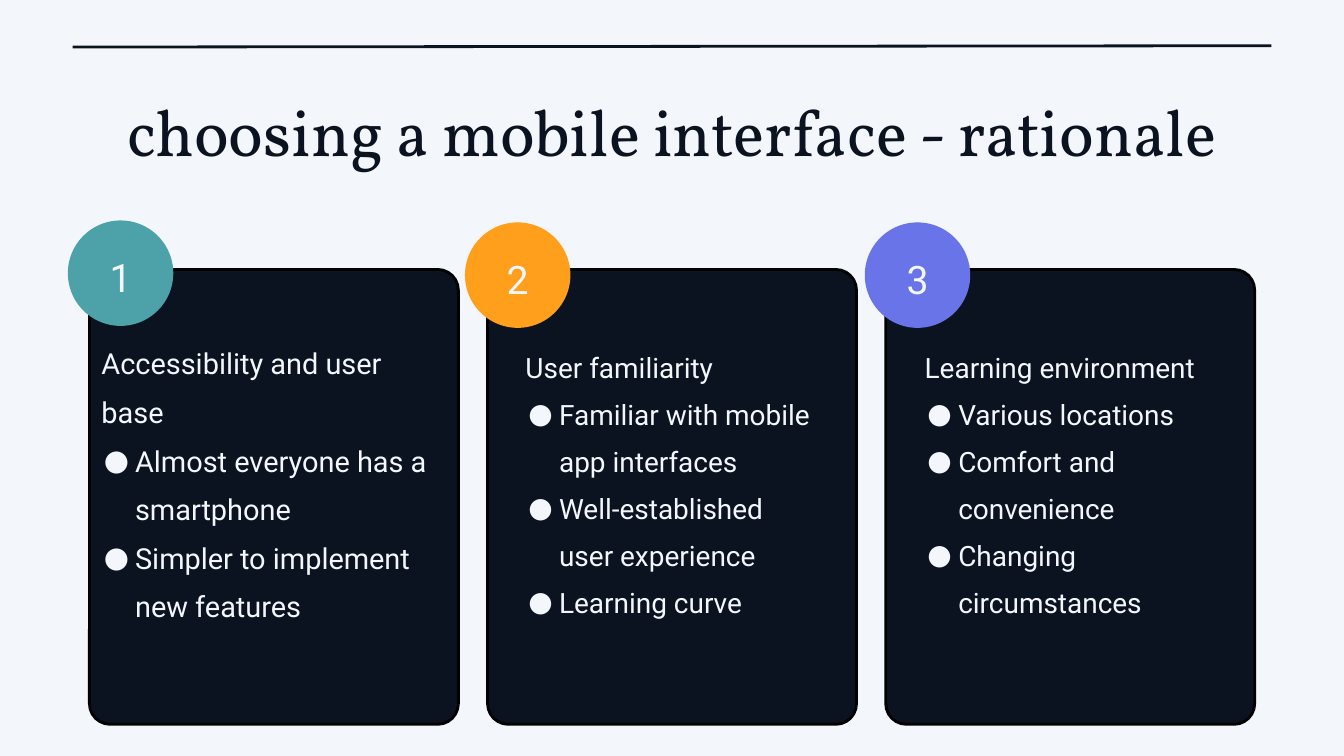
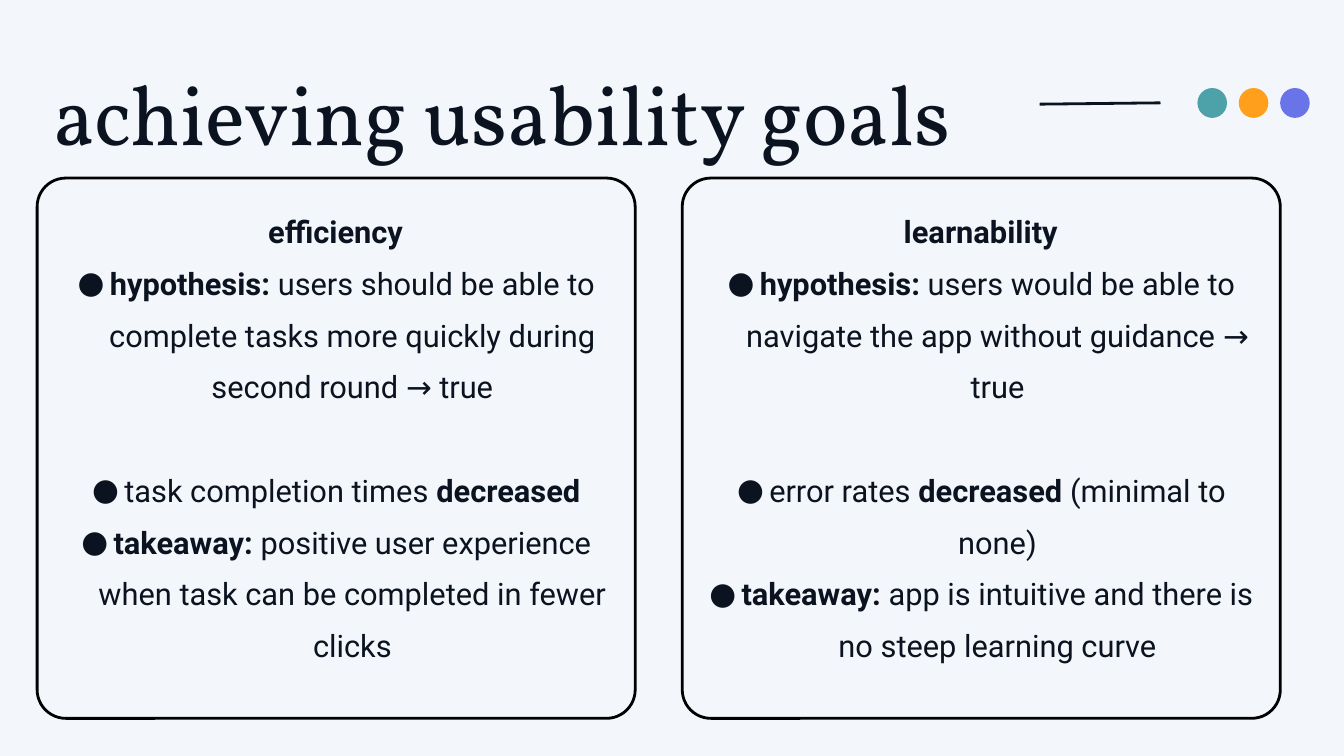
from lxml import etree
from pptx import Presentation
from pptx.dml.color import RGBColor
from pptx.enum.shapes import MSO_CONNECTOR, MSO_SHAPE
from pptx.enum.text import MSO_ANCHOR, PP_ALIGN
from pptx.oxml.ns import qn
from pptx.util import Pt

LEFT, CENTER = PP_ALIGN.LEFT, PP_ALIGN.CENTER
TOP, MIDDLE = MSO_ANCHOR.TOP, MSO_ANCHOR.MIDDLE
OVAL, ROUNDED = MSO_SHAPE.OVAL, MSO_SHAPE.ROUNDED_RECTANGLE
STRAIGHT = MSO_CONNECTOR.STRAIGHT

COLORS = {
    "paper": "F3F6FA",
    "ink": "0B1320",
    "outline": "000000",
    "teal": "4DA1A9",
    "orange": "FF9F1C",
    "violet": "6874E8",
}
ACCENTS = ("teal", "orange", "violet")
TITLE_FONT, BODY_FONT = "Vollkorn", "Roboto"
BULLET_MARGIN = 36
LINE_WIDTH = 3


def color(name):
    return RGBColor.from_string(COLORS[name])


def add_text(slide, box, paragraphs, size, font=BODY_FONT, ink="ink", align=LEFT,
             anchor=TOP, spacing=1.4, inset=0, gaps=None):
    """Each paragraph is a list of (text, bold) runs; all but the first are bulleted."""
    frame = slide.shapes.add_textbox(*map(Pt, box)).text_frame
    frame.word_wrap = True
    frame.vertical_anchor = anchor
    frame.margin_left = frame.margin_right = Pt(inset)
    frame.margin_top = frame.margin_bottom = Pt(inset)
    for index, runs in enumerate(paragraphs):
        paragraph = frame.paragraphs[0] if index == 0 else frame.add_paragraph()
        if index > 0:
            properties = paragraph._p.get_or_add_pPr()
            properties.set("marL", str(Pt(BULLET_MARGIN)))
            properties.set("indent", str(-Pt(BULLET_MARGIN / 2 + size / 2)))
            bullet_color = etree.SubElement(properties, qn("a:buClr"))
            etree.SubElement(bullet_color, qn("a:srgbClr"), val=COLORS[ink])
            etree.SubElement(properties, qn("a:buFont"), typeface=font)
            etree.SubElement(properties, qn("a:buChar"), char="●")
        paragraph.alignment = align
        paragraph.line_spacing = spacing
        if gaps and index in gaps:
            paragraph.space_before = Pt(gaps[index])
        for text, bold in runs:
            run = paragraph.add_run()
            run.text = text
            run.font.name = font
            run.font.size = Pt(size)
            run.font.bold = bold
            run.font.color.rgb = color(ink)


presentation = Presentation()
presentation.slide_width, presentation.slide_height = Pt(1440), Pt(810)

# Slide contents
RATIONALE = [
    # text box, text size, circle left and top, heading and bullets
    ((108.7, 355.7, 370, 300), 31, (72.7, 236.2),
     ["Accessibility and user base", "Almost everyone has a smartphone",
      "Simpler to implement new features"]),
    ((563, 360.7, 314, 291), 30, (498.2, 238.3),
     ["User familiarity", "Familiar with mobile app interfaces",
      "Well-established user experience", "Learning curve"]),
    ((990.7, 360.7, 312, 291), 30, (926.6, 238.3),
     ["Learning environment", "Various locations", "Comfort and convenience",
      "Changing circumstances"]),
]
GOALS = [
    [[("efficiency", True)],
     [("hypothesis:", True),
      (" users should be able to complete tasks more quickly during second round → true", False)],
     [("task completion times ", False), ("decreased", True)],
     [("takeaway: ", True),
      ("positive user experience when task can be completed in fewer clicks", False)]],
    [[("learnability", True)],
     [("hypothesis:", True),
      (" users would be able to navigate the app without guidance → true", False)],
     [("error rates ", False), ("decreased", True), (" (minimal to none)", False)],
     [("takeaway: ", True),
      ("app is intuitive and there is no steep learning curve", False)]],
]

# Shapes and rules of both slides: kind, box, fill, outlined, corner ratio
cards = [(ROUNDED, (95.8 + 426.6 * column, 288.7, 395.3, 487.4), "ink", True, 0.056)
         for column in range(3)]
badges = [(OVAL, (*corner, 113, 113), accent, False, None)
          for (_, _, corner, _), accent in zip(RATIONALE, ACCENTS)]
panels = [(ROUNDED, (39.8 + 691.2 * column, 190.8, 640.8, 578.9), None, True, 0.053)
          for column in range(2)]
dots = [(OVAL, (1283 + 44.3 * column, 94.3, 31.7, 32), accent, False, None)
        for column, accent in enumerate(ACCENTS)]

slides = []
for shapes, rule in ((cards + badges, (77.8, 50.4, 1362.2, 49)),
                     (panels + dots, (1113.8, 111.6, 1243.4, 110.2))):
    slide = presentation.slides.add_slide(presentation.slide_layouts[6])
    slide.background.fill.solid()
    slide.background.fill.fore_color.rgb = color("paper")
    for kind, box, fill, outlined, corner_ratio in shapes:
        shape = slide.shapes.add_shape(kind, *map(Pt, box))
        shape.shadow.inherit = False
        if corner_ratio:
            shape.adjustments[0] = corner_ratio
        if fill:
            shape.fill.solid()
            shape.fill.fore_color.rgb = color(fill)
        else:
            shape.fill.background()
        if outlined:
            shape.line.color.rgb = color("outline")
            shape.line.width = Pt(LINE_WIDTH)
        else:
            shape.line.fill.background()
    connector = slide.shapes.add_connector(STRAIGHT, *map(Pt, rule))
    connector.line.color.rgb = color("ink")
    connector.line.width = Pt(LINE_WIDTH)
    etree.SubElement(connector._element.spPr, qn("a:effectLst"))
    slides.append(slide)
rationale_slide, goals_slide = slides

# Slide 1: title, three numbered reasons
add_text(rationale_slide, (80.6, 81.4, 1278.7, 85),
         [[("choosing a mobile interface - rationale", False)]],
         size=70, font=TITLE_FONT, align=CENTER, spacing=1.2)
for number, (box, size, (left, top), lines) in enumerate(RATIONALE, start=1):
    add_text(rationale_slide, box, [[(line, False)] for line in lines], size=size, ink="paper")
    add_text(rationale_slide, (left + 10.4, top - 1.5, 92.2, 104.4), [[(str(number), False)]],
             size=42, ink="paper", align=CENTER, anchor=MIDDLE, inset=4)

# Slide 2: title, two goals
add_text(goals_slide, (56.9, 43.9, 1226.2, 109.4), [[("achieving usability goals", False)]],
         size=90, font=TITLE_FONT, spacing=1.2)
for column, goal in enumerate(GOALS):
    add_text(goals_slide, (65.5 + 691.2 * column, 212.4, 588.2, 488.2), goal,
             size=33, align=CENTER, gaps={2: 55.4})

presentation.save("out.pptx")
